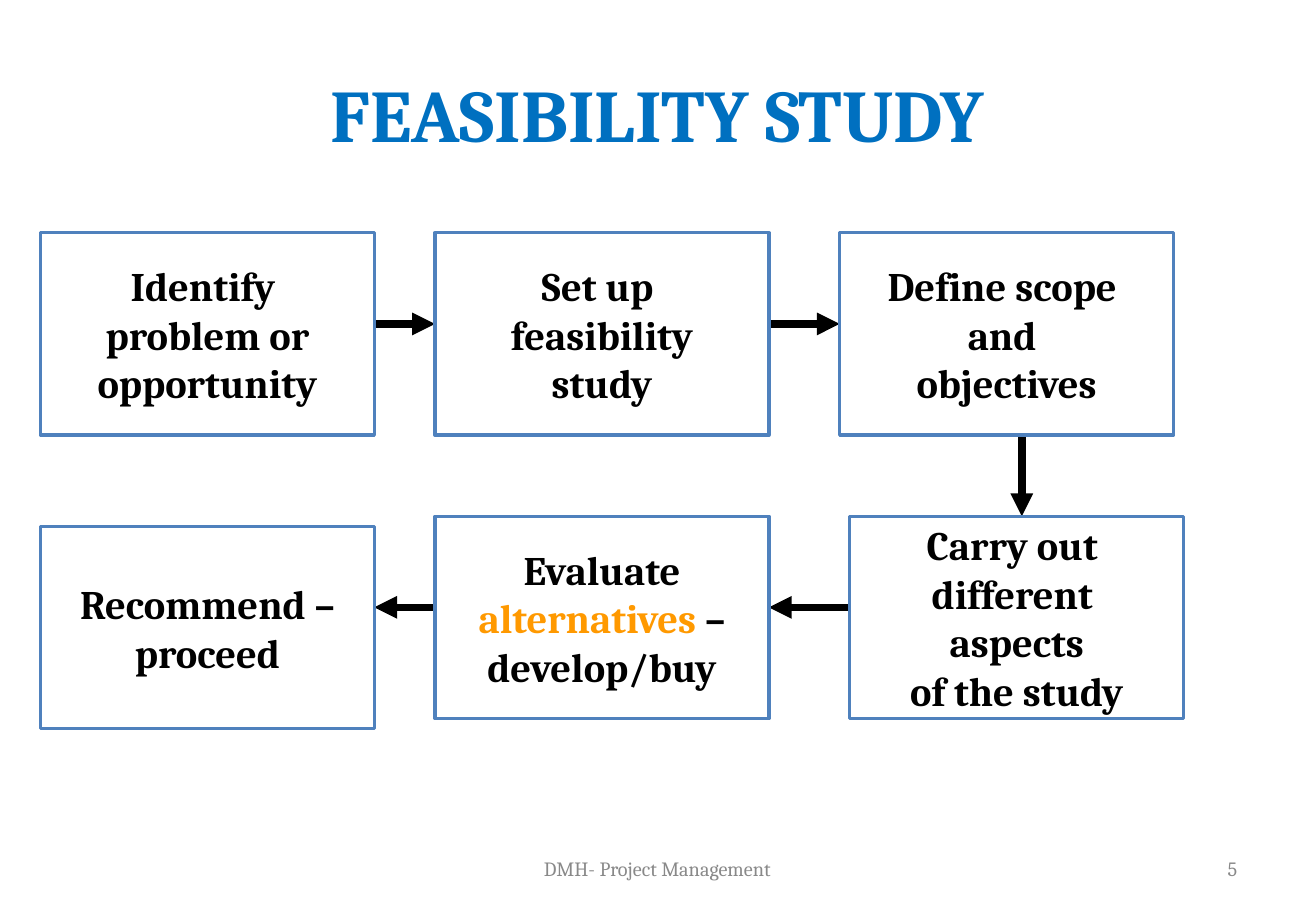
from lxml import etree
from pptx import Presentation
from pptx.dml import color
from pptx.enum import shapes, text
from pptx.oxml import ns
from pptx.util import Pt

FONT = "Cambria"
BLACK, WHITE, GREY = "000000", "FFFFFF", "898989"
BLUE, BORDER, ORANGE = "0070C0", "4F81BD", "FF9900"
BOX_W, BOX_H = 198, 120
COL_1, COL_2, COL_3 = 24, 258, 498
ROW_1, ROW_2 = 138, 306
CENTER, RIGHT = text.PP_ALIGN.CENTER, text.PP_ALIGN.RIGHT

# Left, top and paragraphs of each step; a paragraph is a string or a list of (text, colour)
STEPS = [
    (COL_1, ROW_1, ["Identify ", "problem or", "opportunity"]),
    (COL_2, ROW_1, ["Set up \nfeasibility", "study"]),
    (COL_3, ROW_1, ["Define scope ", "and \nobjectives"]),
    (COL_3 + 6, ROW_2, ["Carry out ", "different \naspects", "of the study"]),
    (COL_2, ROW_2, ["Evaluate", [("alternatives", ORANGE), (" –", BLACK)], "develop/buy"]),
    (COL_1, ROW_2 + 6, ["Recommend –", "proceed"]),
]

# Start and end of each arrow; the starts lie behind the boxes
ARROWS = [
    (126, 192, COL_2, 192),
    (366, 192, COL_3, 192),
    (606, 186, 606, ROW_2),
    (596, 360, COL_2 + BOX_W, 360),
    (362, 360, COL_1 + BOX_W, 360),
]


def rgb(value):
    return color.RGBColor.from_string(value)


def put_text(tf, paragraphs, size=24, ink=BLACK, bold=False, align=CENTER, wrap=True):
    tf.word_wrap = wrap
    tf.auto_size = text.MSO_AUTO_SIZE.NONE
    tf.vertical_anchor = text.MSO_ANCHOR.MIDDLE
    for i, paragraph in enumerate(paragraphs):
        p = tf.add_paragraph() if i else tf.paragraphs[0]
        p.alignment = align
        runs = [(paragraph, ink)] if isinstance(paragraph, str) else paragraph
        for words, run_ink in runs:
            for n, line in enumerate(words.split("\n")):
                if n:
                    p.add_line_break()
                r = p.add_run()
                r.text = line
                r.font.name, r.font.size, r.font.bold = FONT, Pt(size), bold
                r.font.color.rgb = rgb(run_ink)


def add_title(s, words):
    sp = s.shapes.title
    sp.left, sp.top, sp.width, sp.height = Pt(39), Pt(21.6), Pt(702), Pt(90)
    put_text(sp.text_frame, [words], size=44, ink=BLUE, bold=True)


def add_footer(s, left, width, words, align):
    sp = s.shapes.add_textbox(Pt(left), Pt(500.4), Pt(width), Pt(28.8))
    put_text(sp.text_frame, [words], size=12, ink=GREY, align=align)


def add_arrow(s, x1, y1, x2, y2):
    line = s.shapes.add_connector(shapes.MSO_CONNECTOR.STRAIGHT, Pt(x1), Pt(y1), Pt(x2), Pt(y2))
    line.line.color.rgb = rgb(BLACK)
    line.line.width = Pt(4.5)
    etree.SubElement(line.line._get_or_add_ln(), ns.qn("a:tailEnd"), type="triangle")
    etree.SubElement(line._element.spPr, ns.qn("a:effectLst"))


def add_step(s, left, top, paragraphs):
    sp = s.shapes.add_shape(shapes.MSO_SHAPE.RECTANGLE, Pt(left), Pt(top), Pt(BOX_W), Pt(BOX_H))
    sp.shadow.inherit = False
    sp.fill.solid()
    sp.fill.fore_color.rgb = rgb(WHITE)
    sp.line.color.rgb = rgb(BORDER)
    sp.line.width = Pt(2)
    put_text(sp.text_frame, paragraphs, bold=True, wrap=False)


def main():
    prs = Presentation()
    prs.slide_width, prs.slide_height = Pt(780.48), Pt(540)
    s = prs.slides.add_slide(prs.slide_layouts[5])

    # Title and footer
    add_title(s, "FEASIBILITY STUDY")
    add_footer(s, 266.4, 247, "DMH- Project Management", CENTER)
    add_footer(s, 558.7, 182.2, "5", RIGHT)

    # Flow: arrows first, so that the boxes cover their starts
    for arrow in ARROWS:
        add_arrow(s, *arrow)
    for step in STEPS:
        add_step(s, *step)

    prs.save("out.pptx")


if __name__ == "__main__":
    main()
